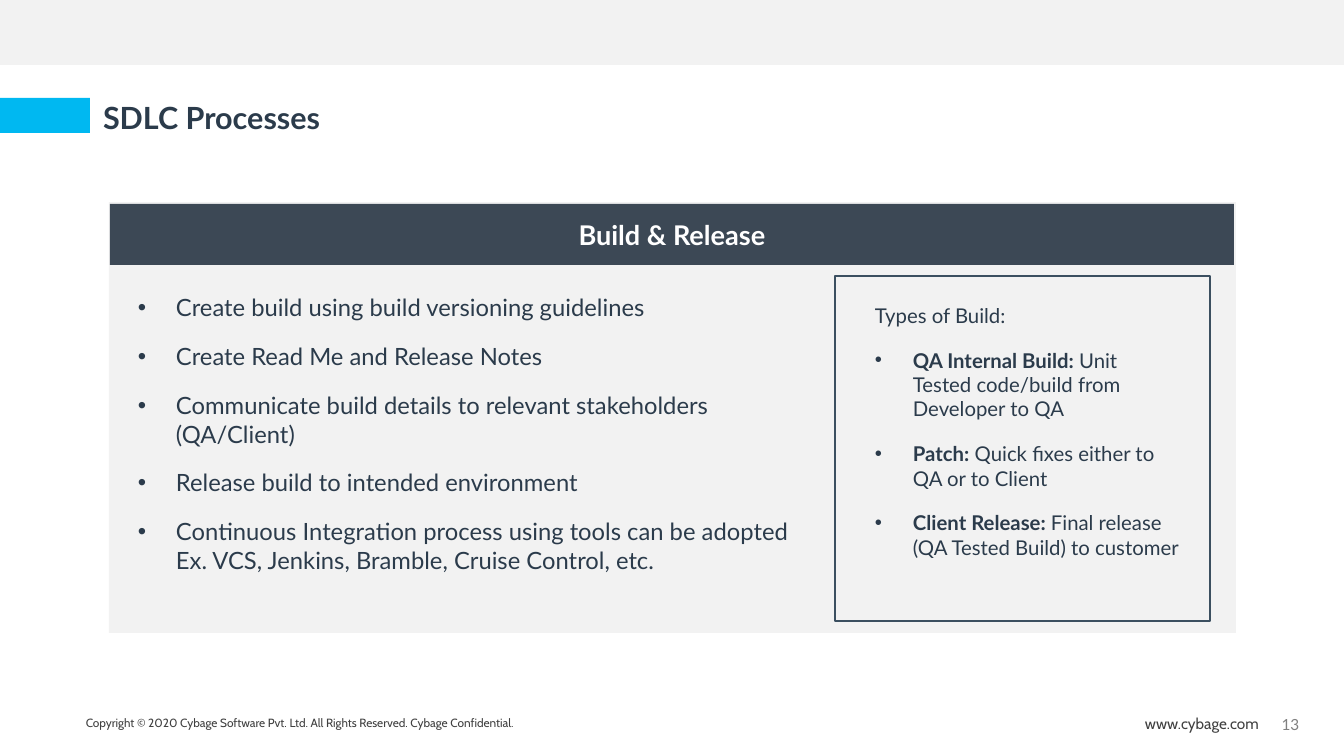
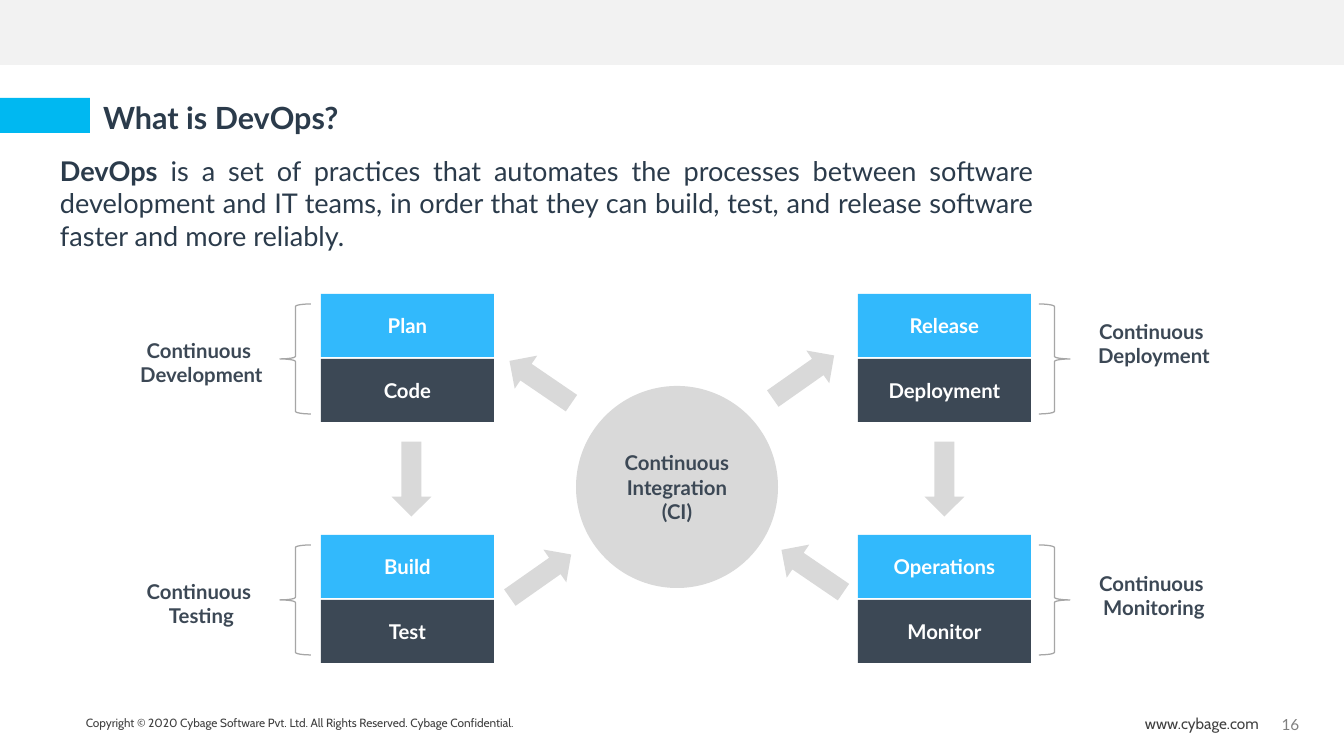
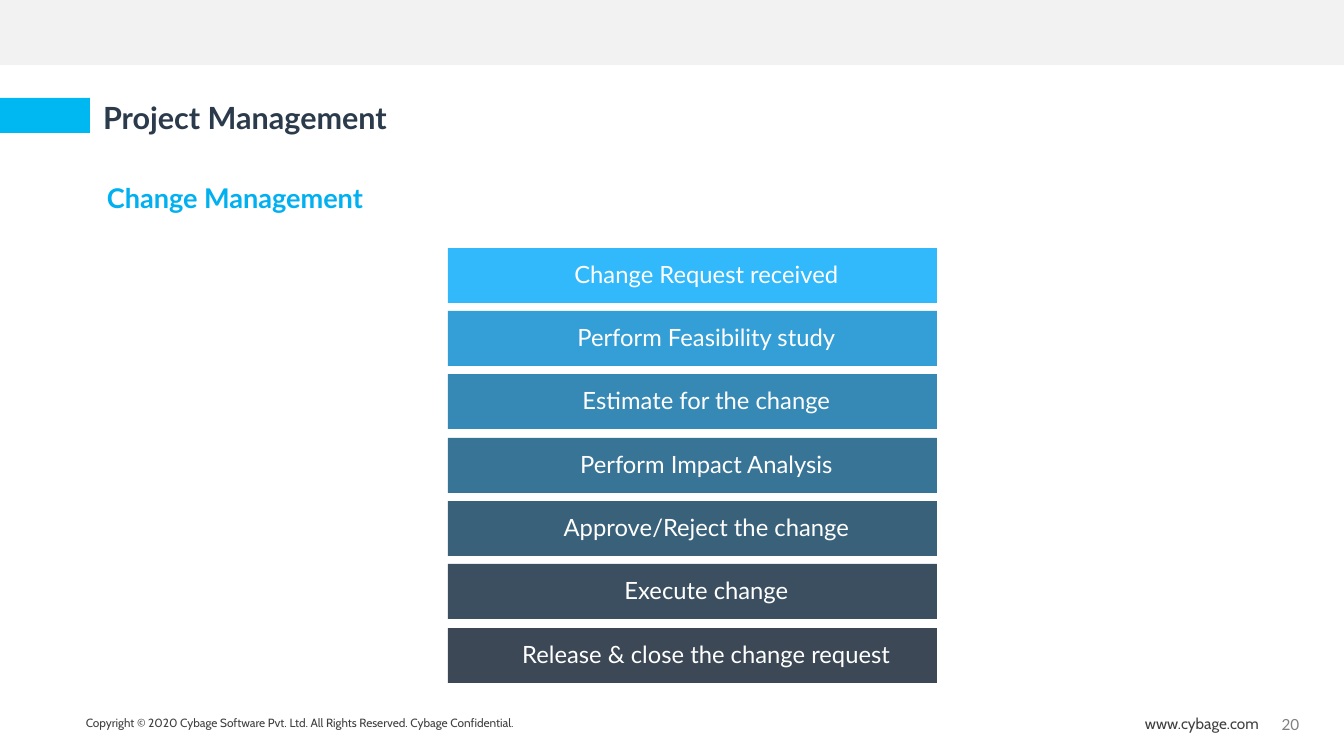
from dataclasses import dataclass

from lxml import etree
from pptx import Presentation
from pptx.dml.color import RGBColor
from pptx.enum.shapes import MSO_SHAPE
from pptx.enum.text import MSO_ANCHOR, MSO_AUTO_SIZE, PP_ALIGN
from pptx.oxml.ns import qn
from pptx.util import Pt

RECT, OVAL, ARROW = MSO_SHAPE.RECTANGLE, MSO_SHAPE.OVAL, MSO_SHAPE.LEFT_ARROW
LEFT_BRACE, RIGHT_BRACE = MSO_SHAPE.LEFT_BRACE, MSO_SHAPE.RIGHT_BRACE
LEFT, CENTER, JUSTIFY = PP_ALIGN.LEFT, PP_ALIGN.CENTER, PP_ALIGN.JUSTIFY
TOP, MIDDLE = MSO_ANCHOR.TOP, MSO_ANCHOR.MIDDLE

EMU_PER_PX = 7483
SLIDE_W, SLIDE_H = 1344, 756


@dataclass(frozen=True)
class Theme:
    font: str = "Lato"
    footer_font: str = "Cabin"
    ink: str = "2B3B4B"
    slate: str = "3C4855"
    frame: str = "3B4F60"
    sky: str = "32B9FC"
    accent: str = "00B8F1"
    subtitle: str = "00B0F0"
    pale: str = "F2F2F2"
    silver: str = "D9D9D9"
    brace: str = "A6A6A6"
    footer: str = "404040"
    number: str = "808080"
    white: str = "FFFFFF"
    steps: tuple = ("32B9FC", "349FD6", "3789B5", "387496",
                    "39617A", "3B4F60", "3C4855")
    title_pt: int = 18
    lead_pt: int = 16
    body_pt: int = 14
    label_pt: int = 12
    web_pt: int = 9
    copyright_pt: int = 7


T = Theme()
WIDE_INSETS = (13, 6, 13, 6)
STEP_INSETS = (33, 5, 5, 5)


def px(n):
    return n * EMU_PER_PX


def box(x, y, w, h):
    return [px(n) for n in (x, y, w, h)]


# Text
def set_bullet(p, char):
    pPr = p._p.get_or_add_pPr()
    pPr.set("marL", str(px(38) if char else 0))
    pPr.set("indent", str(px(-38) if char else 0))
    if char:
        etree.SubElement(pPr, qn("a:buFont")).set("typeface", "Arial")
        etree.SubElement(pPr, qn("a:buChar")).set("char", char)
    else:
        etree.SubElement(pPr, qn("a:buNone"))


def add_run(p, text, size, color, bold, font):
    r = p.add_run()
    r.text = text
    values = {"name": font, "size": Pt(size), "bold": bold}
    for name, value in values.items():
        setattr(r.font, name, value)
    r.font.color.rgb = RGBColor.from_string(color)


def write(sp, paragraphs, size, color, bold=False, font=T.font, align=LEFT,
          anchor=TOP, insets=(12, 6, 12, 6), after=0, spacing=1.0, bullets=""):
    """Fill a shape; ** switches bold, a newline breaks the line.

    bullets holds one character per paragraph, a space meaning none.
    """
    tf = sp.text_frame
    frame = {"word_wrap": True, "auto_size": MSO_AUTO_SIZE.NONE,
             "vertical_anchor": anchor}
    sides = ("margin_left", "margin_top", "margin_right", "margin_bottom")
    frame.update(zip(sides, map(px, insets)))
    for name, value in frame.items():
        setattr(tf, name, value)
    layout = {"alignment": align, "space_before": Pt(0),
              "space_after": Pt(after), "line_spacing": spacing}
    for i, text in enumerate(paragraphs):
        p = tf.add_paragraph() if i else tf.paragraphs[0]
        set_bullet(p, bullets[i:i + 1].strip())
        for name, value in layout.items():
            setattr(p, name, value)
        for j, part in enumerate(text.split("**")):
            for k, line in enumerate(part.split("\n")):
                if k:
                    p.add_line_break()
                if line:
                    add_run(p, line, size, color, bold or j % 2 == 1, font)


# Elements
def add_shape(slide, kind, at, fill=None, line=None, rotation=0):
    sp = slide.shapes.add_shape(kind, *box(*at))
    sp.shadow.inherit = False
    sp.rotation = rotation
    if fill:
        sp.fill.solid()
        sp.fill.fore_color.rgb = RGBColor.from_string(fill)
    else:
        sp.fill.background()
    if line:
        sp.line.color.rgb = RGBColor.from_string(line)
        sp.line.width = Pt(0.75)
    else:
        sp.line.fill.background()
    return sp


def add_block(slide, at, fill, text, size, color=T.white, kind=RECT, **fmt):
    sp = add_shape(slide, kind, at, fill)
    write(sp, [text], size, color, align=CENTER, anchor=MIDDLE, **fmt)


def add_text(slide, at, paragraphs, size, color, **fmt):
    write(slide.shapes.add_textbox(*box(*at)), paragraphs, size, color, **fmt)


def place_text(slide, sp, at, paragraphs, size, color, **fmt):
    """Move a placeholder in front of the shapes drawn so far and fill it."""
    slide.shapes._spTree.append(sp._element)
    sp.left, sp.top, sp.width, sp.height = box(*at)
    write(sp, paragraphs, size, color, **fmt)


def new_slide(prs, title, number):
    slide = prs.slides.add_slide(prs.slide_layouts[1])
    add_shape(slide, RECT, (0, 0, SLIDE_W, 65), T.pale)
    add_shape(slide, RECT, (0, 98, 90, 35), T.accent)
    place_text(slide, slide.shapes.title, (90, 93, 816, 61), [title],
               T.title_pt, T.ink, bold=True, insets=WIDE_INSETS)
    add_text(slide, (73, 710, 672, 27),
             ["Copyright © 2020 Cybage Software Pvt. Ltd. "
              "All Rights Reserved. Cybage Confidential."],
             T.copyright_pt, T.footer, font=T.footer_font, insets=WIDE_INSETS)
    add_text(slide, (1132, 708, 159, 32), ["www.cybage.com"],
             T.web_pt, T.footer, font=T.footer_font, insets=WIDE_INSETS)
    add_text(slide, (1260, 709, 61, 31), [str(number)],
             T.web_pt, T.number, align=CENTER)
    return slide


# Slides
def build_release(prs):
    slide = new_slide(prs, "SDLC Processes", 13)
    add_shape(slide, RECT, (109, 202, 1127, 431), T.pale)
    add_block(slide, (110, 204, 1124, 61), T.slate, "Build & Release",
              T.lead_pt, bold=True)
    add_shape(slide, RECT, (835, 276, 375, 345), T.pale, T.frame)
    add_text(slide, (862, 297, 331, 298), [
        "Types of Build:",
        "**QA Internal Build: **Unit Tested code/build from Developer to QA",
        "**Patch:** Quick fixes either to QA or to Client",
        "**Client Release: **Final release (QA Tested Build) to customer",
    ], T.label_pt, T.ink, insets=WIDE_INSETS, after=12, bullets=" •••")
    place_text(slide, slide.placeholders[1], (125, 287, 703, 318), [
        "Create build using build versioning guidelines",
        "Create Read Me and Release Notes",
        "Communicate build details to relevant stakeholders (QA/Client)",
        "Release build to intended environment",
        "Continuous Integration process using tools can be adopted "
        "Ex. VCS, Jenkins, Bramble, Cruise Control, etc.",
    ], T.body_pt, T.ink, insets=WIDE_INSETS, after=12, bullets="•••••")


def build_devops(prs):
    slide = new_slide(prs, "What is DevOps?", 16)
    place_text(slide, slide.placeholders[1], (48, 148, 998, 111), [
        "**DevOps** is a set of practices that automates the processes "
        "between software development and IT teams, in order that they can "
        "build, test, and release software faster and more reliably.",
    ], T.lead_pt, T.ink, align=JUSTIFY)

    # Stage pairs, each with a brace and a label on its outer side
    left = (321, LEFT_BRACE, 280, 106, 191)
    right = (858, RIGHT_BRACE, 1039, 1045, 218)
    stages = [
        (left, 294, "Plan", "Code", "Continuous \nDevelopment", 332),
        (left, 535, "Build", "Test", "Continuous \nTesting", 573),
        (right, 294, "Release", "Deployment", "Continuous \nDeployment", 313),
        (right, 535, "Operations", "Monitor", "Continuous \nMonitoring", 565),
    ]
    for side, y, upper, lower, label, label_y in stages:
        x, brace, brace_x, label_x, label_w = side
        add_block(slide, (x, y, 173, 63), T.sky, upper, T.label_pt, bold=True)
        add_block(slide, (x, y + 65, 173, 63), T.slate, lower, T.label_pt,
                  bold=True)
        add_shape(slide, brace, (brace_x, y + 10, 31, 110), line=T.brace)
        add_text(slide, (label_x, label_y, label_w, 61), [label],
                 T.label_pt, T.slate, bold=True, align=CENTER)

    # Hub and the arrows around it
    add_block(slide, (576, 386, 202, 202), T.silver,
              "Continuous Integration (CI)", T.label_pt, T.slate, OVAL,
              bold=True)
    rising, falling, down = 144.9, 34.3, 270
    arrows = [(503, 362, falling), (503, 556, rising), (766, 357, rising),
              (775, 551, falling), (374, 459, down), (907, 459, down)]
    for x, y, angle in arrows:
        add_shape(slide, ARROW, (x, y, 75, 40), T.silver, rotation=angle)


def build_change(prs):
    slide = new_slide(prs, "Project Management", 20)
    place_text(slide, slide.placeholders[1], (94, 175, 620, 51),
               ["Change Management"], T.lead_pt, T.subtitle, bold=True,
               insets=WIDE_INSETS)
    steps = ["Change Request received", "Perform Feasibility study",
             "Estimate for the change", "Perform Impact Analysis",
             "Approve/Reject the change", "Execute change",
             "Release & close the change request"]
    first, last = 248, 628
    for i, (step, fill) in enumerate(zip(steps, T.steps)):
        y = first + (last - first) * i // (len(steps) - 1)
        add_block(slide, (448, y, 489, 55), fill, step, T.body_pt,
                  insets=STEP_INSETS, spacing=0.9)


def main():
    prs = Presentation()
    prs.slide_width, prs.slide_height = px(SLIDE_W), px(SLIDE_H)
    build_release(prs)
    build_devops(prs)
    build_change(prs)
    prs.save("out.pptx")


if __name__ == "__main__":
    main()
